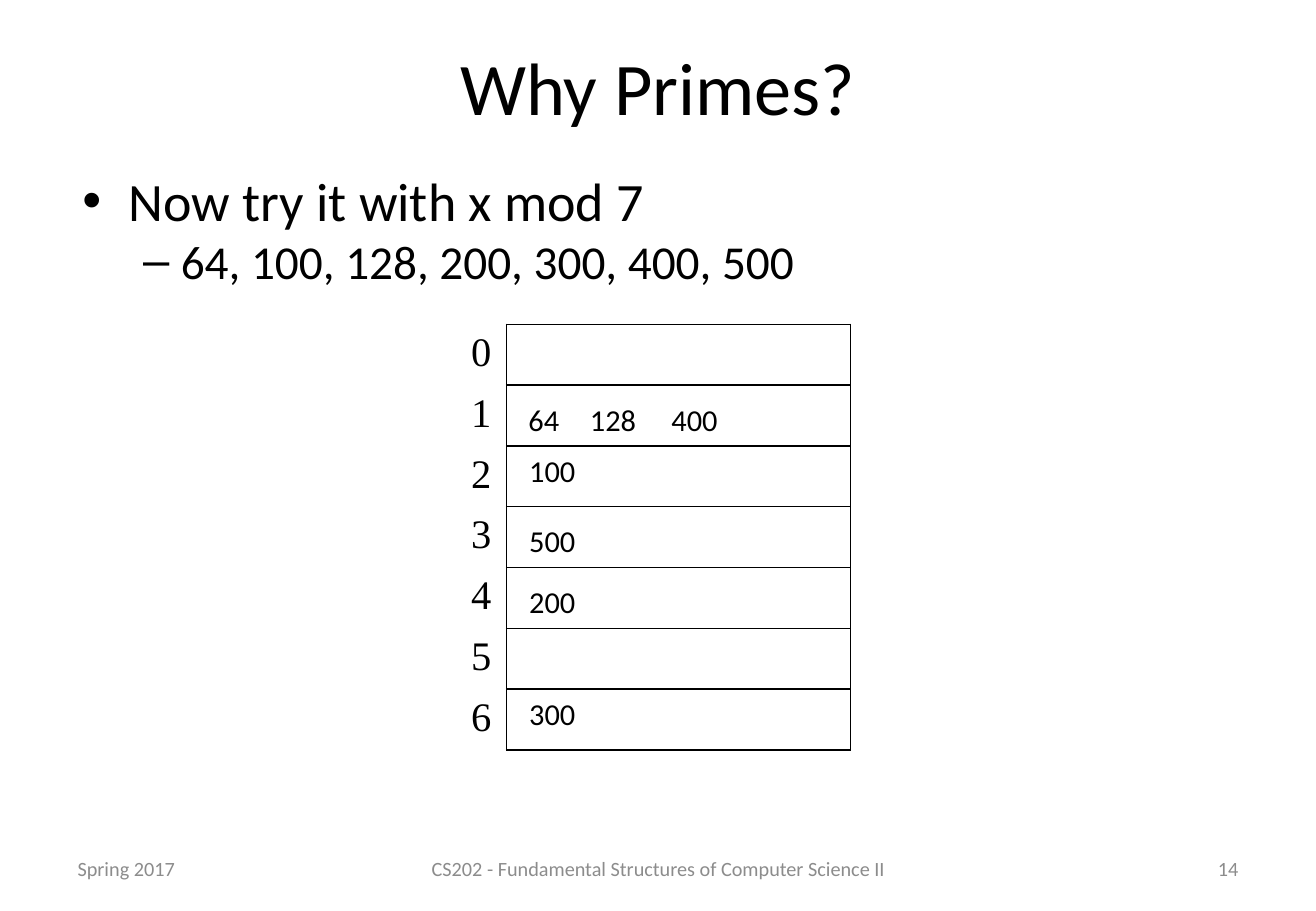
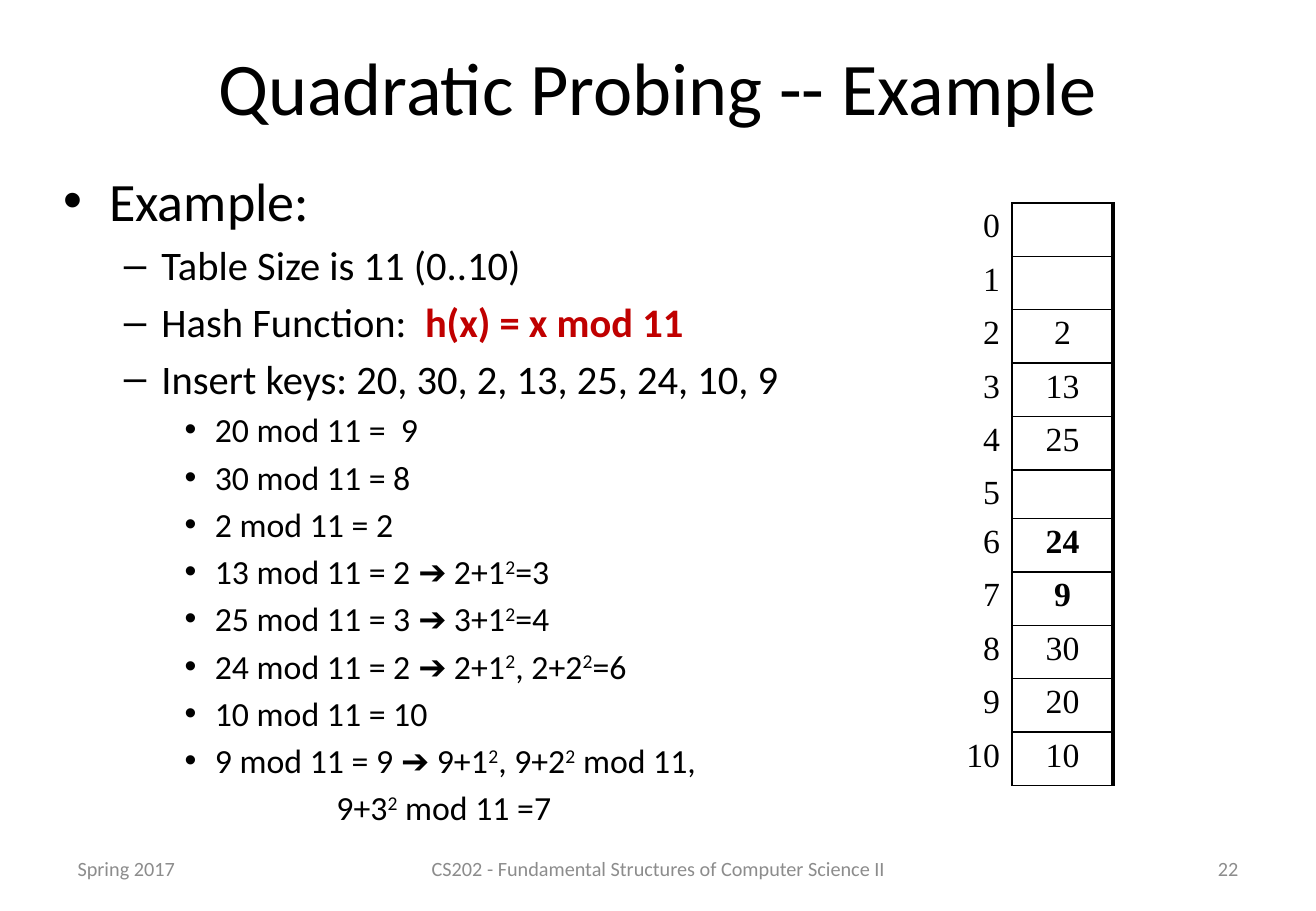
from itertools import accumulate

from lxml import etree
from pptx import Presentation
from pptx.dml.color import RGBColor
from pptx.enum.text import MSO_ANCHOR, PP_ALIGN
from pptx.oxml.ns import qn
from pptx.util import Inches, Pt

LEFT, CENTER, RIGHT = PP_ALIGN.LEFT, PP_ALIGN.CENTER, PP_ALIGN.RIGHT
TOP, MIDDLE = MSO_ANCHOR.TOP, MSO_ANCHOR.MIDDLE

# Shared look
BLACK, GREY, RED = "000000", "8C8C8C", "C00000"
SANS, SERIF = "Calibri", "Times New Roman"
TITLE_BOX = (0.54, 0.25, 9.75, 0.92)
FOOTER_TOP, FOOTER_HEIGHT = 6.95, 0.4
TERM = "Spring 2017"
COURSE = "CS202 - Fundamental Structures of Computer Science II"

# Outline levels: left margin, first-line indent, bullet
LEVELS = {
    0: (0.38, -0.38, "•"),
    1: (0.81, -0.31, "–"),
    2: (1.25, -0.25, "•"),
    "continued": (2.25, 0, None),
}


def colour(hex_value):
    return RGBColor.from_string(hex_value)


def add_run(paragraph, text, size, font=SANS, color=BLACK, bold=False):
    run = paragraph.add_run()
    run.text = text
    formats = {"size": Pt(size), "name": font, "bold": bold}
    for name, value in formats.items():
        setattr(run.font, name, value)
    run.font.color.rgb = colour(color)
    return run


def add_powers(paragraph, text, size, **formats):
    """Write text in which the digit after each ^ is raised."""
    first, *rest = text.split("^")
    add_run(paragraph, first, size, **formats)
    for part in rest:
        power = add_run(paragraph, part[0], size, **formats)
        power._r.get_or_add_rPr().set("baseline", "30000")
        add_run(paragraph, part[1:], size, **formats)


def set_space_before(paragraph, percent):
    space = etree.SubElement(paragraph._p.get_or_add_pPr(), qn("a:spcBef"))
    etree.SubElement(space, qn("a:spcPct")).set("val", str(percent * 1000))


def set_level(paragraph, level):
    margin, indent, bullet = LEVELS[level]
    properties = paragraph._p.get_or_add_pPr()
    properties.set("marL", str(Inches(margin)))
    properties.set("indent", str(Inches(indent)))
    if bullet:
        etree.SubElement(properties, qn("a:buFont")).set("typeface", "Arial")
        etree.SubElement(properties, qn("a:buChar")).set("char", bullet)
    else:
        etree.SubElement(properties, qn("a:buNone"))


def add_frame(slide, box, anchor=TOP, wrap=True):
    shape = slide.shapes.add_textbox(*map(Inches, box))
    frame = shape.text_frame
    frame.word_wrap = wrap
    frame.vertical_anchor = anchor
    return frame


def add_line(slide, box, text, size, align=LEFT, color=BLACK, wrap=True, anchor=MIDDLE):
    paragraph = add_frame(slide, box, anchor, wrap).paragraphs[0]
    paragraph.alignment = align
    add_run(paragraph, text, size, color=color)


def add_base_slide(presentation, title, number):
    """Blank slide with the title and the three footer parts."""
    slide = presentation.slides.add_slide(presentation.slide_layouts[6])
    add_line(slide, TITLE_BOX, title, 44, CENTER)
    footers = [
        (0.54, 2.53, TERM, LEFT),
        (3.42, 4, COURSE, CENTER),
        (7.76, 2.53, str(number), RIGHT),
    ]
    for left, width, text, align in footers:
        box = (left, FOOTER_TOP, width, FOOTER_HEIGHT)
        add_line(slide, box, text, 12, align, GREY)
    return slide


def add_outline(slide, box, items, space_percent=0):
    """Bulleted text; each item is level, size, text and optional red text."""
    frame = add_frame(slide, box)
    for index, (level, size, text, *emphasis) in enumerate(items):
        paragraph = frame.add_paragraph() if index else frame.paragraphs[0]
        set_space_before(paragraph, space_percent)
        set_level(paragraph, level)
        add_powers(paragraph, text, size)
        for red_text in emphasis:
            add_run(paragraph, red_text, size, color=RED, bold=True)


def set_borders(cell, widths):
    """Draw the sides named in widths (points) and clear the others."""
    properties = cell._tc.get_or_add_tcPr()
    for side in "LRTB":
        line = etree.SubElement(properties, qn(f"a:ln{side}"))
        if side in widths:
            line.set("w", str(Pt(widths[side])))
            fill = etree.SubElement(line, qn("a:solidFill"))
            etree.SubElement(fill, qn("a:srgbClr")).set("val", BLACK)
        else:
            etree.SubElement(line, qn("a:noFill"))


def add_hash_table(slide, left, top, columns, heights, values, size,
                   label_align, right_border=1, space_percent=0,
                   margins=(0.05, 0.05), bold_rows=()):
    """Slot numbers beside a column of bordered slots."""
    box = (left, top, sum(columns), sum(heights))
    table = slide.shapes.add_table(len(heights), 2, *map(Inches, box)).table
    table.first_row = table.horz_banding = False
    for column, width in zip(table.columns, columns):
        column.width = Inches(width)
    slot_borders = {"L": 1, "R": right_border, "T": 1, "B": 1}
    for index, height in enumerate(heights):
        table.rows[index].height = Inches(height)
        parts = [
            (str(index), label_align, {"R": 1}, False),
            (values.get(index), CENTER, slot_borders, index in bold_rows),
        ]
        for cell, (text, align, borders, bold) in zip(table.rows[index].cells, parts):
            set_borders(cell, borders)
            cell.fill.background()
            cell.margin_top, cell.margin_bottom = map(Inches, margins)
            paragraph = cell.text_frame.paragraphs[0]
            paragraph.alignment = align
            set_space_before(paragraph, space_percent)
            if text:
                add_run(paragraph, text, size, SERIF, bold=bold)


def build_primes_slide(presentation):
    slide = add_base_slide(presentation, "Why Primes?", 14)
    add_outline(slide, (0.58, 1.33, 9.75, 1.25), [
        (0, 32, "Now try it with x mod 7"),
        (1, 28, "64, 100, 128, 200, 300, 400, 500"),
    ])
    add_hash_table(slide, 3.75, 2.67, (0.42, 2.83), [0.5] * 7, {}, 24, CENTER)

    # Keys laid over their slots
    keys = [
        ("64", 4.25, 3.25), ("100", 4.25, 3.67), ("128", 4.75, 3.25),
        ("200", 4.25, 4.75), ("400", 5.42, 3.25), ("300", 4.25, 5.67),
        ("500", 4.25, 4.25),
    ]
    for key, left, top in keys:
        box = (left, top, 0.45 if len(key) == 2 else 0.59, 0.4)
        add_line(slide, box, key, 18, CENTER, wrap=False, anchor=TOP)


def build_probing_slide(presentation):
    slide = add_base_slide(presentation, "Quadratic Probing -- Example", 22)
    steps = [
        "20 mod 11 =  9",
        "30 mod 11 = 8",
        "2 mod 11 = 2",
        "13 mod 11 = 2 ➔ 2+1^2=3",
        "25 mod 11 = 3 ➔ 3+1^2=4",
        "24 mod 11 = 2 ➔ 2+1^2, 2+2^2=6",
        "10 mod 11 = 10",
        "9 mod 11 = 9 ➔ 9+1^2, 9+2^2 mod 11,",
    ]
    add_outline(slide, (0.42, 1.33, 6.75, 5.58), [
        (0, 32, "Example:"),
        (1, 24, "Table Size is 11 (0..10)"),
        (1, 24, "Hash Function:  ", "h(x) = x mod 11"),
        (1, 24, "Insert keys: 20, 30, 2, 13, 25, 24, 10, 9"),
        *[(2, 20, step) for step in steps],
        ("continued", 20, "9+3^2 mod 11 =7"),
    ], space_percent=20)

    heights = [0.4 if index == 5 else 0.44 for index in range(11)]
    values = {2: "2", 3: "13", 4: "25", 6: "24", 7: "9", 8: "30", 9: "20", 10: "10"}
    add_hash_table(slide, 7.75, 1.67, (0.58, 0.83), heights, values, 20, RIGHT,
                   right_border=2.25, space_percent=20, margins=(0.04, 0.02),
                   bold_rows=(6, 7))


def main():
    presentation = Presentation()
    presentation.slide_width = Inches(10.83)
    presentation.slide_height = Inches(7.5)
    build_primes_slide(presentation)
    build_probing_slide(presentation)
    presentation.save("out.pptx")


if __name__ == "__main__":
    main()
